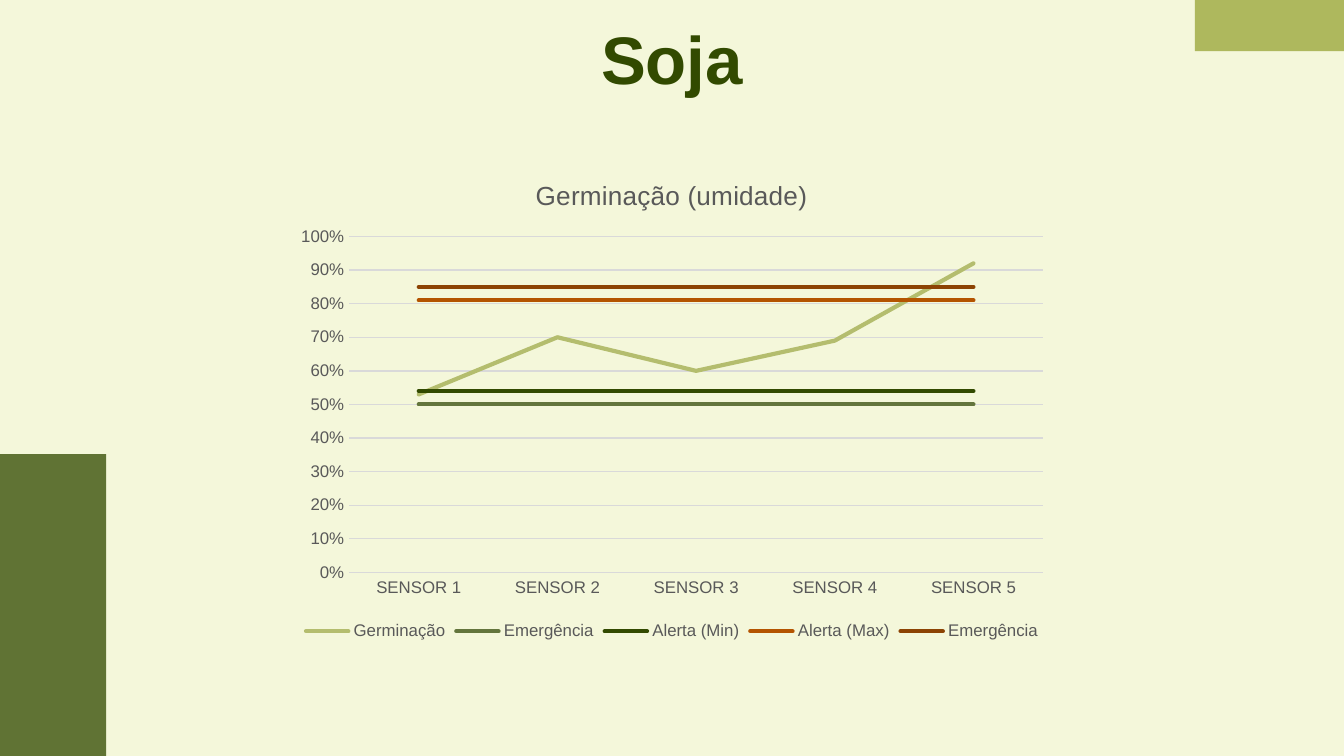
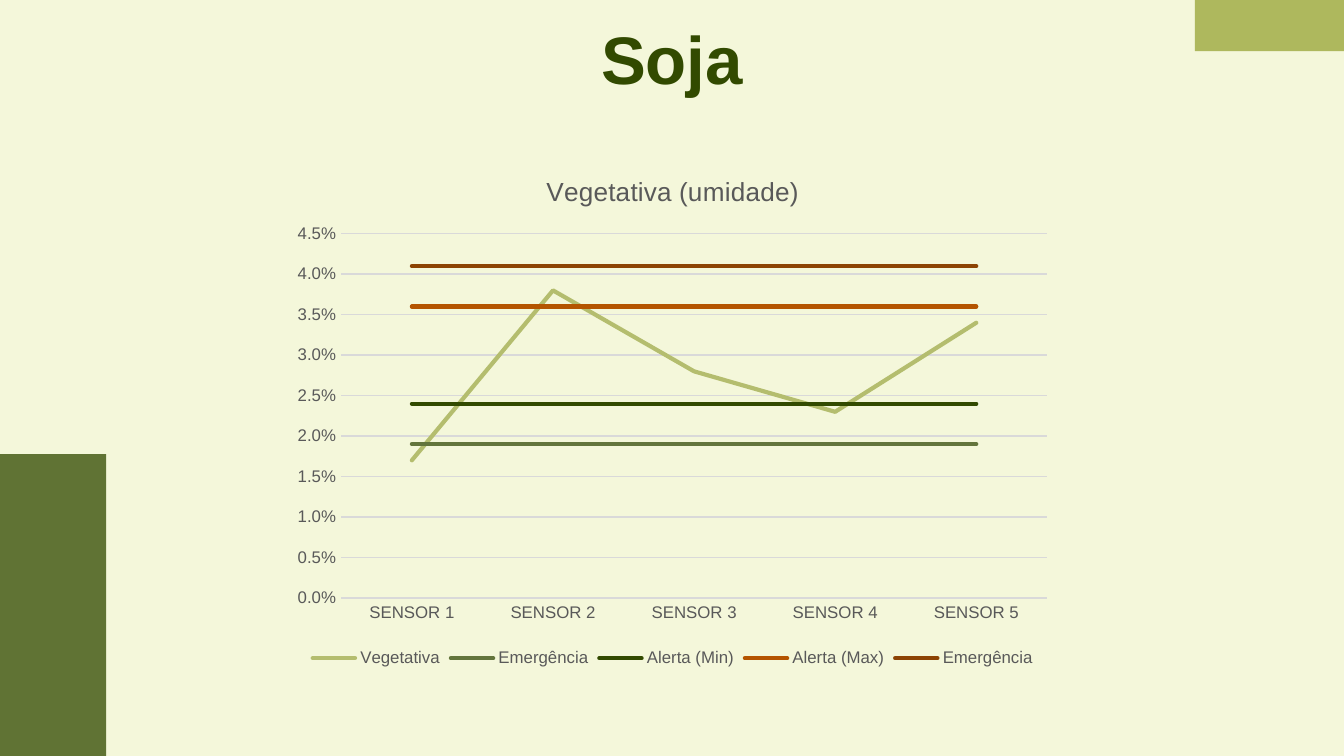
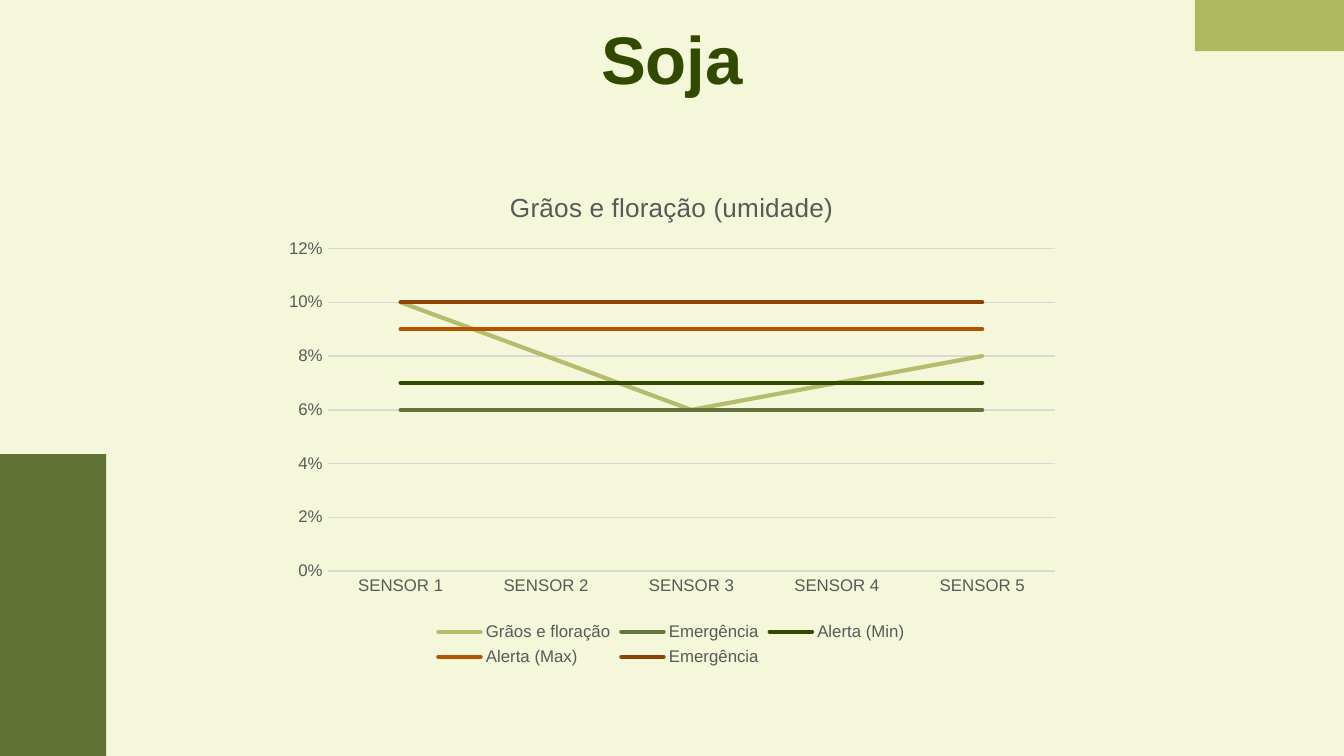
from lxml.etree import SubElement
from pptx import Presentation
from pptx.chart.data import CategoryChartData
from pptx.dml.color import RGBColor
from pptx.enum.chart import XL_CHART_TYPE, XL_LEGEND_POSITION, XL_TICK_MARK
from pptx.enum.shapes import MSO_SHAPE
from pptx.enum.text import MSO_ANCHOR, MSO_AUTO_SIZE, PP_ALIGN
from pptx.oxml.ns import qn
from pptx.util import Inches, Pt

FONT = "Arial"
CREAM = RGBColor(0xF4, 0xF7, 0xDA)
DARK_GREEN = RGBColor(0x32, 0x4A, 0x00)
OLIVE = RGBColor(0x7C, 0x8C, 0x03)
LIGHT_GREEN = RGBColor(0xB4, 0xBD, 0x6E)
MOSS = RGBColor(0x63, 0x75, 0x3C)
ORANGE = RGBColor(0xB4, 0x54, 0x00)
BROWN = RGBColor(0x8C, 0x43, 0x03)
GRAY = RGBColor(0x59, 0x59, 0x59)
GRID = RGBColor(0xD9, 0xD9, 0xD9)

TITLE = "Soja"
TITLE_BOX = (0.79, 0.03, 8.42, 0.63)
BANDS = [
    ((0, 3.38, 0.79, 2.25), DARK_GREEN, 76),
    ((8.89, 0, 1.11, 0.38), OLIVE, 58),
]
SENSORS = [f"SENSOR {number}" for number in range(1, 6)]
LIMIT_NAMES = ["Emergência", "Alerta (Min)", "Alerta (Max)", "Emergência"]
SERIES_COLORS = [LIGHT_GREEN, MOSS, DARK_GREEN, ORANGE, BROWN]
HEADING_DROP = 0.12

STAGES = [
    dict(name="Germinação", values=[0.53, 0.7, 0.6, 0.69, 0.92],
         limits=[0.5, 0.54, 0.81, 0.85], top=1, step=0.1, number_format="0%",
         box=(2.12, 1.17, 5.76, 3.64), plot=(2.6, 1.76, 5.16, 2.5), heading_left=3.95),
    dict(name="Vegetativa", values=[0.017, 0.038, 0.028, 0.023, 0.034],
         limits=[0.019, 0.024, 0.036, 0.041], top=0.045, step=0.005, number_format="0.0%",
         box=(2.1, 1.14, 5.81, 3.87), plot=(2.54, 1.74, 5.25, 2.71), heading_left=4.03),
    dict(name="Grãos e floração", values=[0.1, 0.08, 0.06, 0.07, 0.08],
         limits=[0.06, 0.07, 0.09, 0.1], top=0.12, step=0.02, number_format="0%",
         box=(2.03, 1.26, 5.93, 3.74), plot=(2.44, 1.85, 5.41, 2.4), heading_left=3.76),
]


def inches(box):
    return [Inches(length) for length in box]


def style_font(font, size, color, bold=False):
    font.name, font.size, font.bold = FONT, Pt(size), bold
    font.color.rgb = color


def style_line(line, color, width):
    line.color.rgb = color
    line.width = Pt(width)


def add_band(page, layout, box, color, opacity):
    band = page.shapes.add_shape(MSO_SHAPE.RECTANGLE, *inches(box))
    band.shadow.inherit = False
    band.fill.solid()
    band.fill.fore_color.rgb = color
    band.line.fill.background()
    tint = band.element.spPr.find(qn("a:solidFill")).find(qn("a:srgbClr"))
    SubElement(tint, qn("a:alpha")).set("val", str(opacity * 1000))
    layout.shapes.element.insert(2, band.element)


def add_title(page):
    title = page.shapes.title
    title.left, title.top, title.width, title.height = inches(TITLE_BOX)
    frame = title.text_frame
    frame.text = TITLE
    frame.auto_size = MSO_AUTO_SIZE.NONE
    frame.vertical_anchor = MSO_ANCHOR.TOP
    frame.margin_left = frame.margin_right = Inches(0.1)
    frame.margin_top = frame.margin_bottom = Inches(0.1)
    para = frame.paragraphs[0]
    para.alignment = PP_ALIGN.CENTER
    style_font(para.font, 36, DARK_GREEN, True)


def place(parent, index, chart_box, box, inner=False):
    for old in parent.findall(qn("c:layout")):
        parent.remove(old)
    layout = SubElement(parent, qn("c:layout"))
    parent.insert(index, layout)
    manual = SubElement(layout, qn("c:manualLayout"))
    settings = [("layoutTarget", "inner")] if inner else []
    settings += [("xMode", "edge"), ("yMode", "edge")]
    left, top, width, height = chart_box
    origin = (left, top, 0, 0)
    extent = (width, height, width, height)
    for key, length, start, size in zip("xywh", box, origin, extent):
        settings.append((key, f"{(length - start) / size:.4f}"))
    for key, value in settings:
        SubElement(manual, qn(f"c:{key}")).set("val", value)


def style_axes(chart, stage):
    category, value = chart.category_axis, chart.value_axis
    for axis in (category, value):
        axis.major_tick_mark = axis.minor_tick_mark = XL_TICK_MARK.NONE
        style_font(axis.tick_labels.font, 9, GRAY)
    style_line(category.format.line, GRID, 0.75)
    value.format.line.fill.background()
    value.has_major_gridlines = True
    style_line(value.major_gridlines.format.line, GRID, 0.75)
    value.minimum_scale, value.maximum_scale = 0, stage["top"]
    value.major_unit = stage["step"]
    value.tick_labels.number_format = stage["number_format"]
    value.tick_labels.number_format_is_linked = False


def add_humidity_chart(page, stage):
    data = CategoryChartData(number_format=stage["number_format"])
    data.categories = SENSORS
    data.add_series(stage["name"], stage["values"])
    for name, limit in zip(LIMIT_NAMES, stage["limits"]):
        data.add_series(name, [limit] * len(SENSORS))
    box = stage["box"]
    chart = page.shapes.add_chart(XL_CHART_TYPE.LINE, *inches(box), data).chart
    chart.font.name, chart.font.size = FONT, Pt(10)

    heading = chart.chart_title
    heading.include_in_layout = False
    heading.text_frame.text = f"{stage['name']} (umidade)"
    style_font(heading.text_frame.paragraphs[0].font, 14, GRAY)

    chart.has_legend = True
    chart.legend.position = XL_LEGEND_POSITION.BOTTOM
    chart.legend.include_in_layout = False
    style_font(chart.legend.font, 9, GRAY)

    style_axes(chart, stage)
    chart.plots[0].vary_by_categories = False
    for series, color in zip(chart.plots[0].series, SERIES_COLORS):
        series.smooth = False
        style_line(series.format.line, color, 2.25)
    for line in chart.element.xpath(".//c:ser/c:spPr/a:ln"):
        line.set("cap", "rnd")

    place(chart.element.xpath(".//c:chart/c:title")[0], 1, box,
          (stage["heading_left"], box[1] + HEADING_DROP))
    place(chart.element.xpath(".//c:plotArea")[0], 0, box, stage["plot"], inner=True)


def main():
    deck = Presentation()
    deck.slide_width = Inches(10)
    deck.slide_height = deck.slide_width * 9 // 16
    layout = deck.slide_layouts.get_by_name("Title Only")
    layout.background.fill.solid()
    layout.background.fill.fore_color.rgb = CREAM
    pages = [deck.slides.add_slide(layout) for stage in STAGES]
    for band in BANDS:
        add_band(pages[0], layout, *band)
    for page, stage in zip(pages, STAGES):
        add_title(page)
        add_humidity_chart(page, stage)
    deck.save("out.pptx")


if __name__ == "__main__":
    main()
